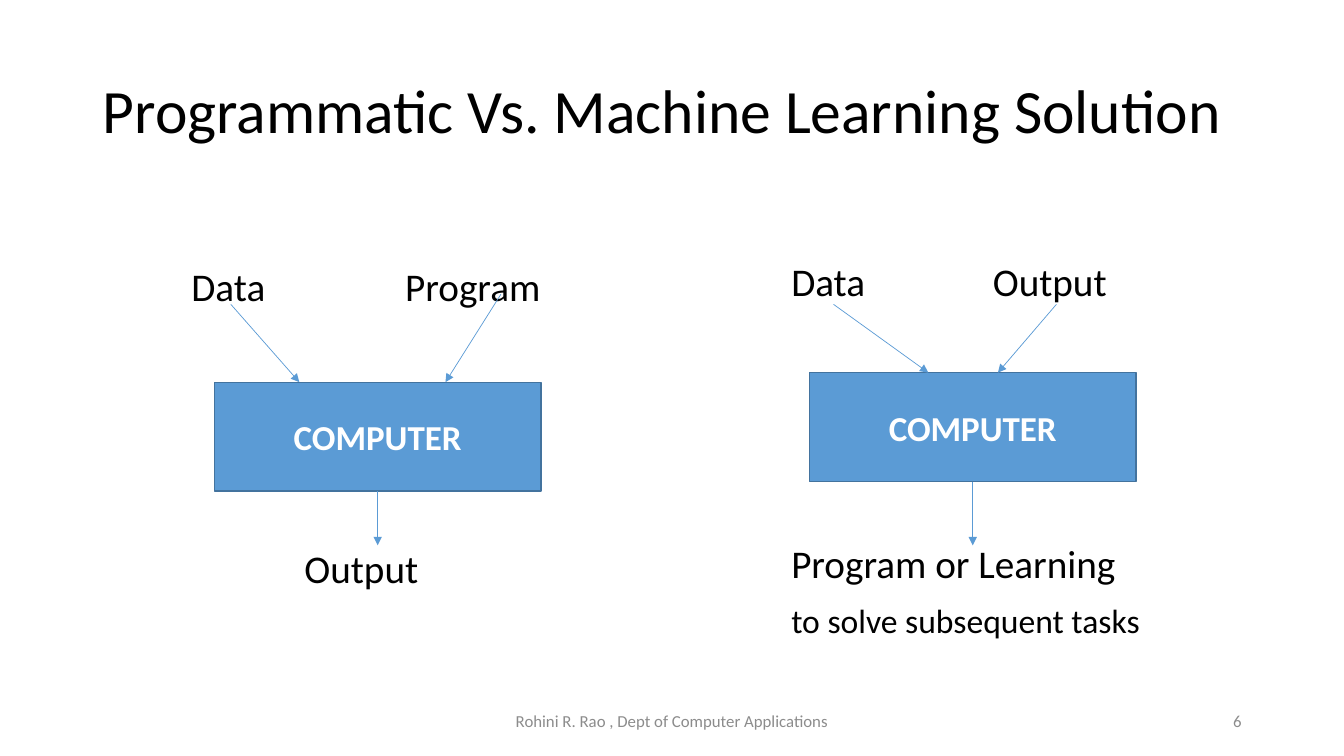
import dataclasses
import typing

import lxml.etree
import pptx
import pptx.dml.color
import pptx.enum.shapes
import pptx.enum.text
import pptx.oxml.ns
import pptx.util

Pt = pptx.util.Pt
ALIGN = pptx.enum.text.PP_ALIGN
ANCHOR = pptx.enum.text.MSO_ANCHOR
COLORS = {
    "text": "000000",
    "footer": "8C8C8C",
    "box": "5B9BD5",
    "border": "43739E",
    "label": "FFFFFF",
}
BOX_WIDTH, BOX_HEIGHT = 233.3, 77.8
ARROW_END = 389.5
TAB_SIZE = 216


class Point(typing.NamedTuple):
    x: float
    y: float


class Area(typing.NamedTuple):
    left: float
    top: float
    width: float
    height: float


@dataclasses.dataclass(frozen=True)
class Line:
    text: str
    indent: float
    before: float = 0
    size: float = 28


@dataclasses.dataclass(frozen=True)
class Diagram:
    left: float
    inset: float
    lines: tuple[Line, ...]
    box: Point
    inputs: tuple[tuple[Point, Point], ...]


@dataclasses.dataclass(frozen=True)
class Note:
    text: str
    area: Area
    align: ALIGN


DIAGRAMS = (
    Diagram(
        66.24, 47.3,
        (Line("Data\tProgram", 63.3),
         Line("Output", 144, 170.7)),
        Point(153.1, 273),
        ((Point(164.9, 217.4), Point(213.8, 273)),
         (Point(357.8, 210.2), Point(318.2, 273))),
    ),
    Diagram(
        486, 43.7,
        (Line("Data\tOutput", 72),
         Line("Program or Learning", 72, 170.7),
         Line("to solve subsequent tasks", 72, 13, 24)),
        Point(578.2, 266.2),
        ((Point(595.4, 217.4), Point(663.1, 266.2)),
         (Point(754.6, 217.4), Point(712.8, 266.2))),
    ),
)
NOTES = (
    Note("Rohini R. Rao , Dept of Computer Applications",
         Area(318, 500.4, 324, 28.8), ALIGN.CENTER),
    Note("6", Area(678, 500.4, 216, 28.8), ALIGN.RIGHT),
)


def apply_format(target: typing.Any, values: dict[str, typing.Any]) -> None:
    for name, value in values.items():
        setattr(target, name, value)


def color(name: str) -> pptx.dml.color.RGBColor:
    return pptx.dml.color.RGBColor.from_string(COLORS[name])


def place(shape: typing.Any, area: Area) -> None:
    apply_format(shape, {name: Pt(value) for name, value in area._asdict().items()})


def add_child(parent: typing.Any, tag: str, **attributes: str) -> typing.Any:
    return lxml.etree.SubElement(parent, pptx.oxml.ns.qn(tag), attributes)


def set_frame(frame: typing.Any, anchor: ANCHOR) -> None:
    apply_format(frame, {
        "word_wrap": True,
        "auto_size": pptx.enum.text.MSO_AUTO_SIZE.NONE,
        "vertical_anchor": anchor,
    })


def write(para: typing.Any, text: str, size: float, tint: str,
          align: ALIGN, bold: bool = False) -> None:
    para.alignment = align
    span = para.add_run()
    span.text = text
    apply_format(span.font, {"name": "Calibri", "size": Pt(size), "bold": bold})
    span.font.color.rgb = color(tint)


def draw_title(title: typing.Any) -> None:
    place(title, Area(66.24, 28.8, 828, 104.4))
    set_frame(title.text_frame, ANCHOR.MIDDLE)
    para = title.text_frame.paragraphs[0]
    para.line_spacing = 0.9
    write(para, "Programmatic Vs. Machine Learning Solution", 44, "text", ALIGN.LEFT)


def draw_labels(body: typing.Any, diagram: Diagram) -> None:
    place(body, Area(diagram.left, 144, 408.24, 342.72))
    frame = body.text_frame
    set_frame(frame, ANCHOR.TOP)
    frame.margin_top = Pt(diagram.inset)
    for index, line in enumerate(diagram.lines):
        para = frame.add_paragraph() if index else frame.paragraphs[0]
        apply_format(para, {"line_spacing": 0.9, "space_before": Pt(line.before)})
        write(para, line.text, line.size, "text", ALIGN.LEFT)
        properties = para._p.get_or_add_pPr()
        lengths = {"marL": 0, "indent": line.indent, "defTabSz": TAB_SIZE}
        for name, length in lengths.items():
            properties.set(name, str(int(Pt(length))))
        add_child(properties, "a:buNone")


def draw_arrow(page: typing.Any, start: Point, end: Point) -> typing.Any:
    arrow = page.shapes.add_connector(
        pptx.enum.shapes.MSO_CONNECTOR.STRAIGHT, *map(Pt, (*start, *end)))
    arrow.line.color.rgb = color("box")
    arrow.line.width = Pt(0.5)
    add_child(arrow.line._get_or_add_ln(), "a:tailEnd", type="triangle")
    add_child(arrow._element.spPr, "a:effectLst")
    return arrow


def draw_computer(page: typing.Any, diagram: Diagram) -> None:
    area = Area(*diagram.box, BOX_WIDTH, BOX_HEIGHT)
    box = page.shapes.add_shape(
        pptx.enum.shapes.MSO_SHAPE.RECTANGLE, *map(Pt, area))
    box.shadow.inherit = False
    box.fill.solid()
    box.fill.fore_color.rgb = color("box")
    box.line.color.rgb = color("border")
    box.line.width = Pt(1)
    set_frame(box.text_frame, ANCHOR.MIDDLE)
    write(box.text_frame.paragraphs[0], "COMPUTER", 25, "label", ALIGN.CENTER, True)
    for start, end in diagram.inputs:
        draw_arrow(page, start, end)
    middle = area.left + area.width / 2
    result = draw_arrow(page, Point(middle, area.top + area.height),
                        Point(middle, ARROW_END))
    result.begin_connect(box, 2)


def draw_note(page: typing.Any, note: Note) -> None:
    box = page.shapes.add_textbox(*map(Pt, note.area))
    set_frame(box.text_frame, ANCHOR.MIDDLE)
    write(box.text_frame.paragraphs[0], note.text, 12, "footer", note.align)


def main() -> None:
    deck = pptx.Presentation()
    apply_format(deck, {"slide_width": Pt(960), "slide_height": Pt(540)})
    page = deck.slides.add_slide(deck.slide_layouts.get_by_name("Two Content"))
    title, *bodies = page.placeholders
    draw_title(title)
    for body, diagram in zip(bodies, DIAGRAMS):
        draw_labels(body, diagram)
    for note in NOTES:
        draw_note(page, note)
    for diagram in DIAGRAMS:
        draw_computer(page, diagram)
    deck.save("out.pptx")


if __name__ == "__main__":
    main()
